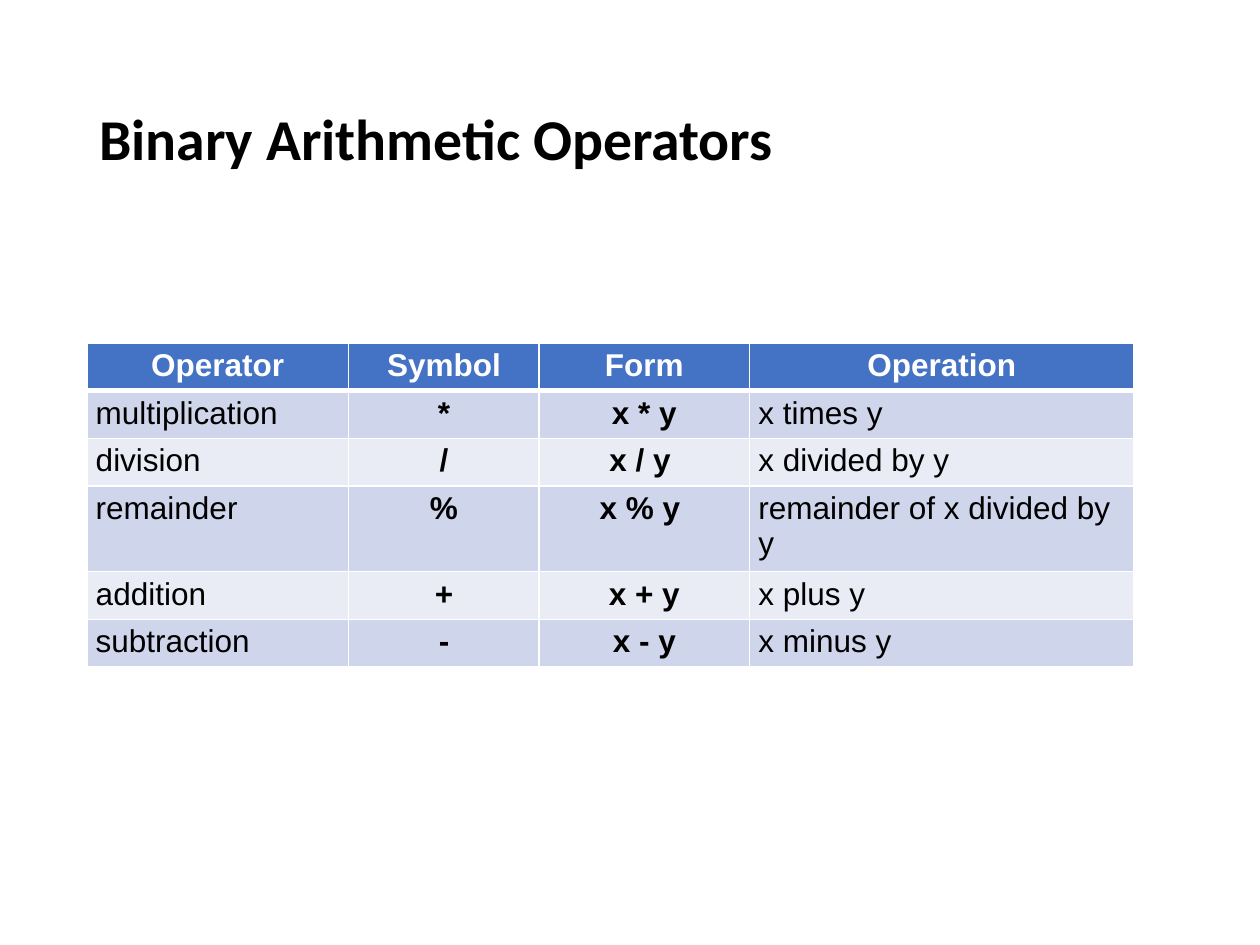
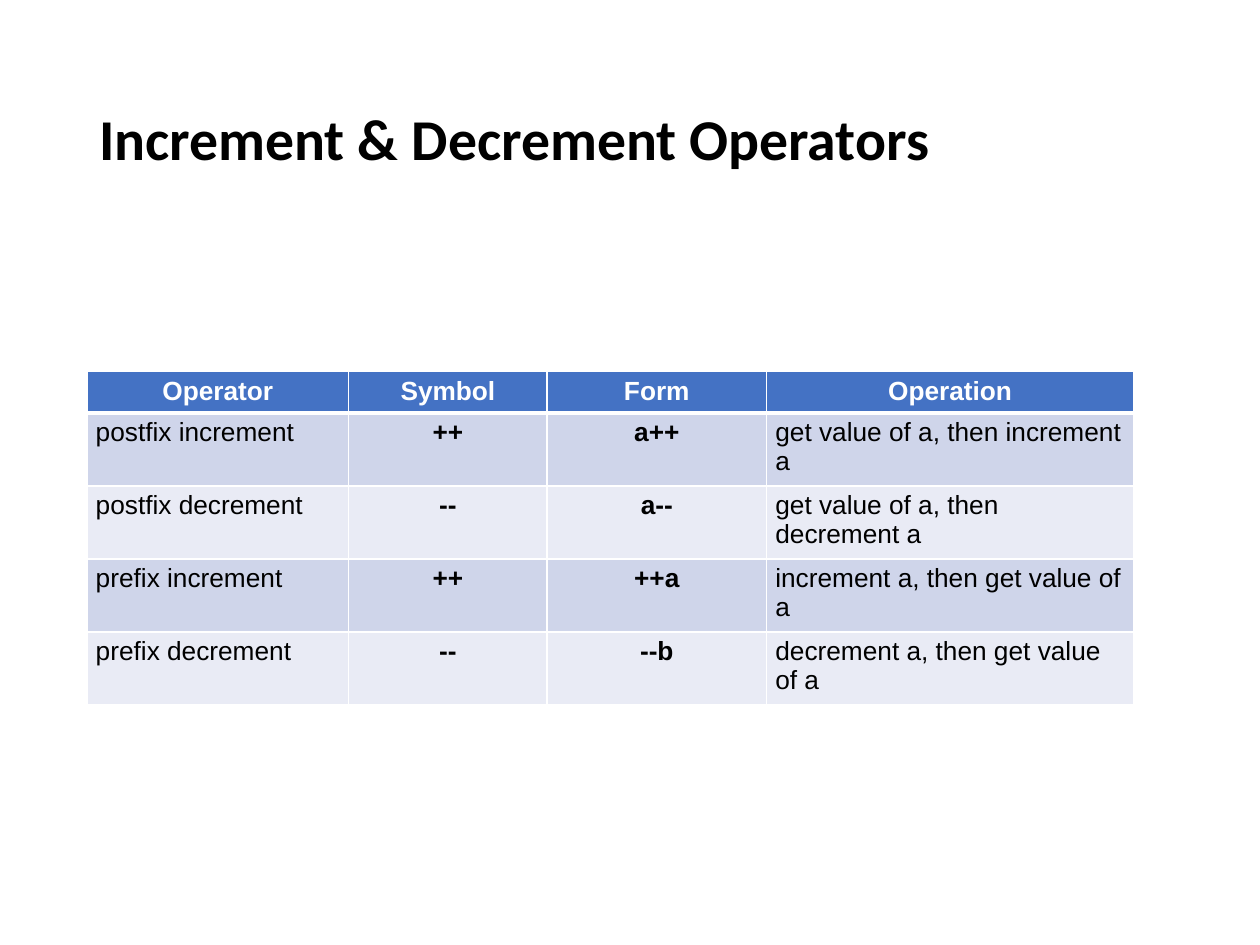
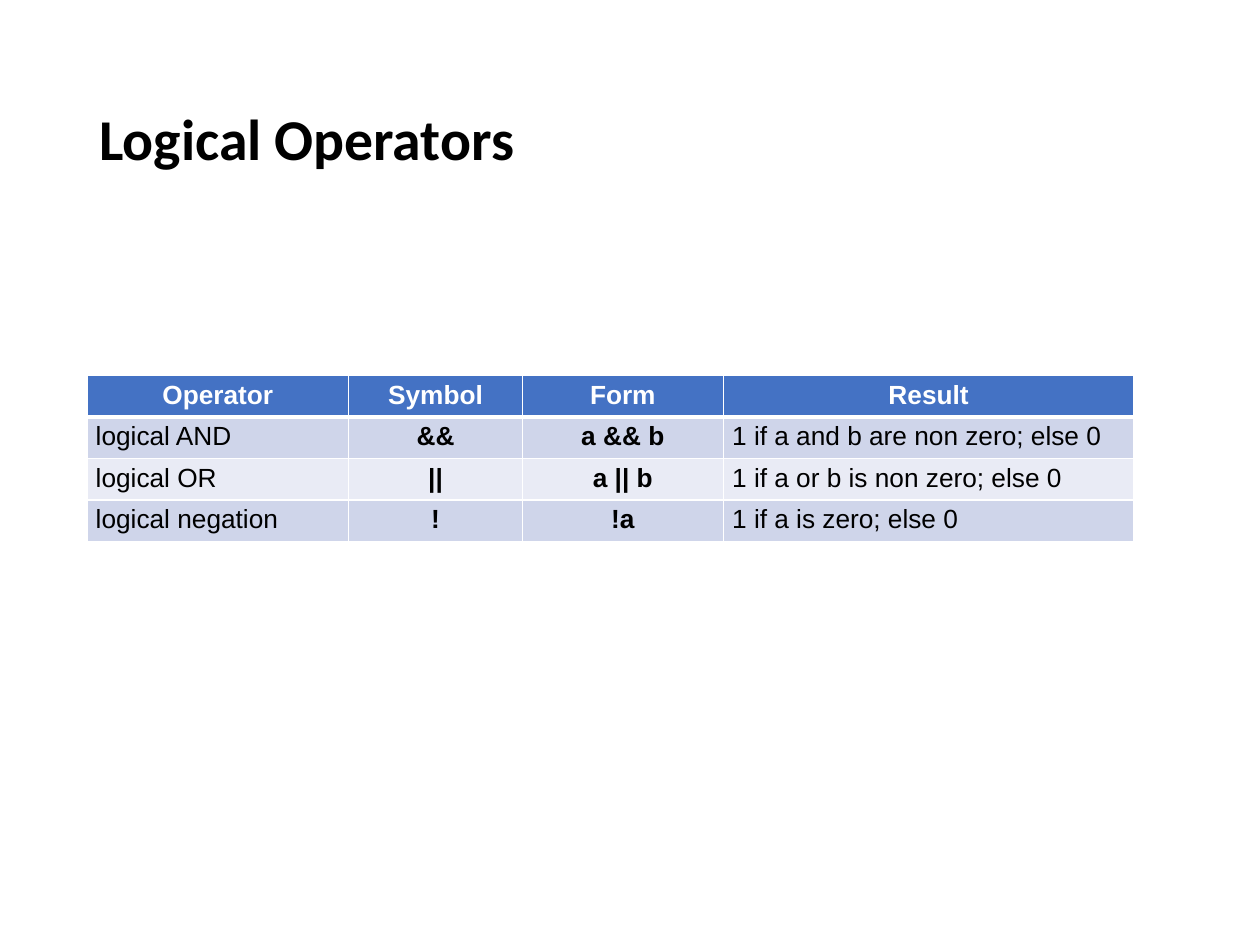
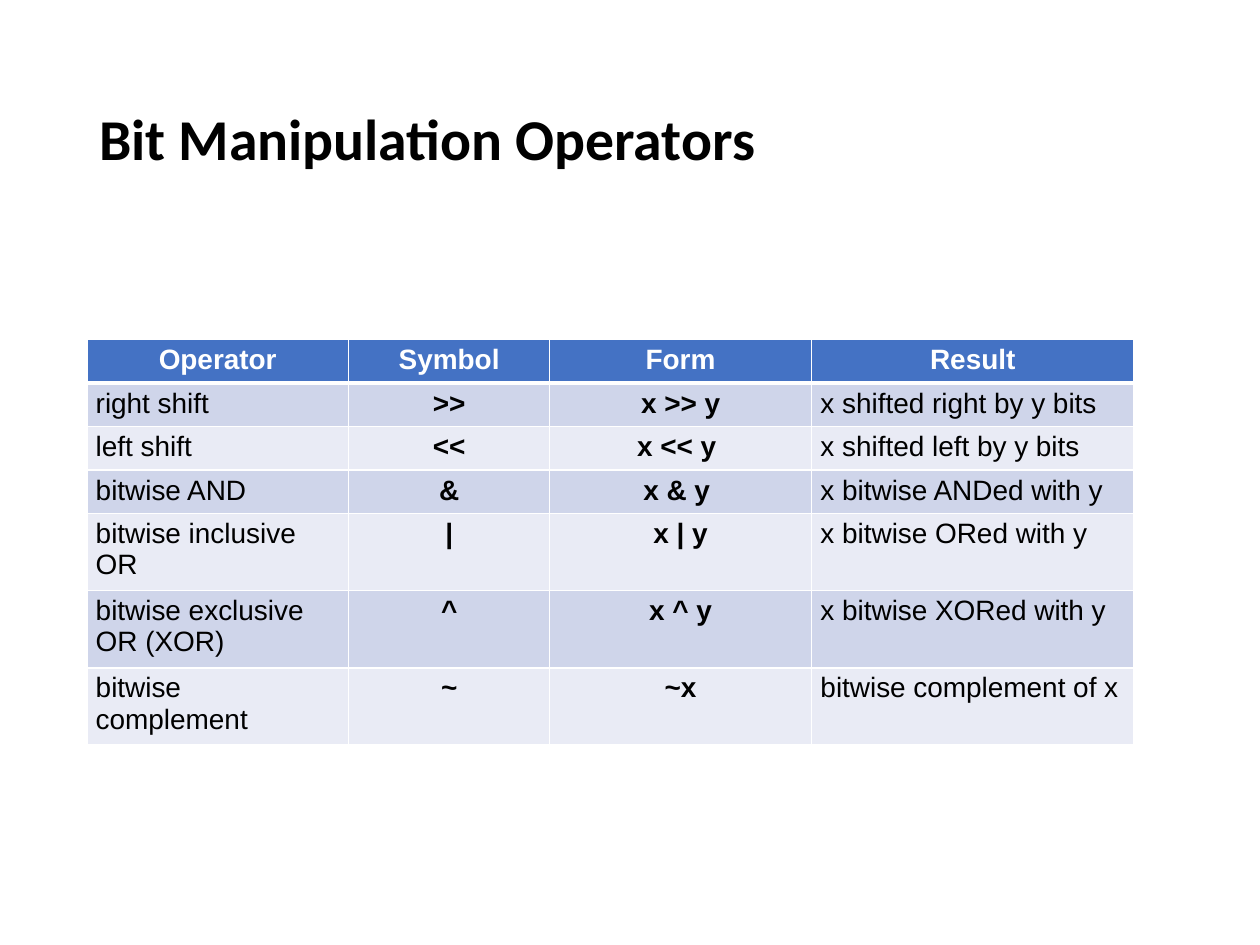
"""Build four slides that list operators in banded tables."""
from lxml.etree import SubElement
from pptx import Presentation
from pptx.dml.color import RGBColor
from pptx.enum.text import MSO_ANCHOR, PP_ALIGN
from pptx.oxml.ns import qn
from pptx.util import Cm, Pt

WHITE, BLACK, HEADER_BLUE = "FFFFFF", "000000", "4472C4"
BANDS = ["CFD5EA", "E9EBF5"]
LEFT, TABLE_WIDTH, OPERATOR_WIDTH = 1.75, 21.11, 5.28

SLIDES = [
    {
        "title": "Binary Arithmetic Operators",
        "top": 6.91, "size": 18, "middle_widths": [3.84, 4.24],
        "heights": [0.95] * 6,
        "rows": [
            ("Operator", "Symbol", "Form", "Operation"),
            ("multiplication", "*", "x * y", "x times y"),
            ("division", "/", "x / y ", "x divided by y"),
            ("remainder", "%", "x % y ", "remainder of x divided by y"),
            ("addition", "+", "x + y", "x plus y"),
            ("subtraction", "-", "x - y", "x minus y"),
        ],
    },
    {
        "title": "Increment & Decrement Operators",
        "top": 7.49, "size": 15, "middle_widths": [4.0, 4.42],
        "heights": [0.83] * 5,
        "rows": [
            ("Operator", "Symbol", "Form", "Operation"),
            ("postfix increment", "++", "a++", "get value of a, then increment a"),
            ("postfix decrement", "--", "a--", "get value of a, then decrement a"),
            ("prefix increment", "++", "++a", "increment a, then get value of a"),
            ("prefix decrement", "--", "--b", "decrement a, then get value of a"),
        ],
    },
    {
        "title": "Logical Operators",
        "top": 7.57, "size": 15, "middle_widths": [3.5, 4.05],
        "heights": [0.83] * 4,
        "rows": [
            ("Operator", "Symbol", "Form", "Result"),
            ("logical AND", "&&", "a && b", "1 if a and b are non zero; else 0"),
            ("logical OR", "||", "a || b", "1 if a or b is non zero; else 0"),
            ("logical negation", "!", "!a", "1 if a is zero; else 0"),
        ],
    },
    {
        "title": "Bit Manipulation Operators",
        "top": 6.84, "size": 16, "middle_widths": [4.05, 5.28],
        "heights": [0.83] * 5 + [1.45, 0.83],
        "rows": [
            ("Operator", "Symbol", "Form", "Result"),
            ("right shift", ">>", "x >> y", "x shifted right by y bits"),
            ("left shift", "<<", "x << y ", "x shifted left by y bits"),
            ("bitwise AND", "&", "x & y ", "x bitwise ANDed with y"),
            ("bitwise inclusive OR", "|", "x | y", "x bitwise ORed with y"),
            ("bitwise exclusive OR (XOR)", "^", "x ^ y", "x bitwise XORed with y"),
            ("bitwise complement", "~", "~x", "bitwise complement of x"),
        ],
    },
]


def style_font(paragraph, name, size, color, bold):
    paragraph.font.name = name
    paragraph.font.size = Pt(size)
    paragraph.font.bold = bold
    paragraph.font.color.rgb = RGBColor.from_string(color)


def add_borders(cell, top, bottom):
    properties = cell._tc.get_or_add_tcPr()
    for side, points in (("L", 1), ("R", 1), ("T", top), ("B", bottom)):
        line = SubElement(properties, qn(f"a:ln{side}"), w=str(Pt(points)))
        fill = SubElement(line, qn("a:solidFill"))
        SubElement(fill, qn("a:srgbClr"), val=WHITE)


presentation = Presentation()
presentation.slide_width = Cm(25.4)
presentation.slide_height = Cm(19.05)

for content in SLIDES:
    slide = presentation.slides.add_slide(presentation.slide_layouts[6])

    title = slide.shapes.add_textbox(Cm(LEFT), Cm(1.01), Cm(21.9), Cm(3.68))
    title.text_frame.word_wrap = True
    title.text_frame.vertical_anchor = MSO_ANCHOR.MIDDLE
    paragraph = title.text_frame.paragraphs[0]
    paragraph.text = content["title"]
    paragraph.line_spacing = 0.9
    style_font(paragraph, "Calibri", 33, BLACK, True)

    rows, heights = content["rows"], content["heights"]
    table = slide.shapes.add_table(
        len(rows), len(rows[0]), Cm(LEFT), Cm(content["top"]), Cm(TABLE_WIDTH), Cm(sum(heights))
    ).table
    widths = [OPERATOR_WIDTH, *content["middle_widths"]]
    widths.append(TABLE_WIDTH - sum(widths))
    for column, width in zip(table.columns, widths):
        column.width = Cm(width)

    for row_index, (texts, height) in enumerate(zip(rows, heights)):
        table.rows[row_index].height = Cm(height)
        is_header = row_index == 0
        for column_index, text in enumerate(texts):
            cell = table.cell(row_index, column_index)
            cell.margin_left = cell.margin_right = Cm(0.18)
            cell.margin_top = cell.margin_bottom = Cm(0.1)
            add_borders(cell, 3 if row_index == 1 else 1, 3 if is_header else 1)
            cell.fill.solid()
            background = HEADER_BLUE if is_header else BANDS[(row_index - 1) % 2]
            cell.fill.fore_color.rgb = RGBColor.from_string(background)
            is_strong = is_header or column_index in (1, 2)
            paragraph = cell.text_frame.paragraphs[0]
            paragraph.text = text
            paragraph.alignment = PP_ALIGN.CENTER if is_strong else PP_ALIGN.LEFT
            style_font(paragraph, "Arial", content["size"], WHITE if is_header else BLACK, is_strong)

presentation.save("out.pptx")
